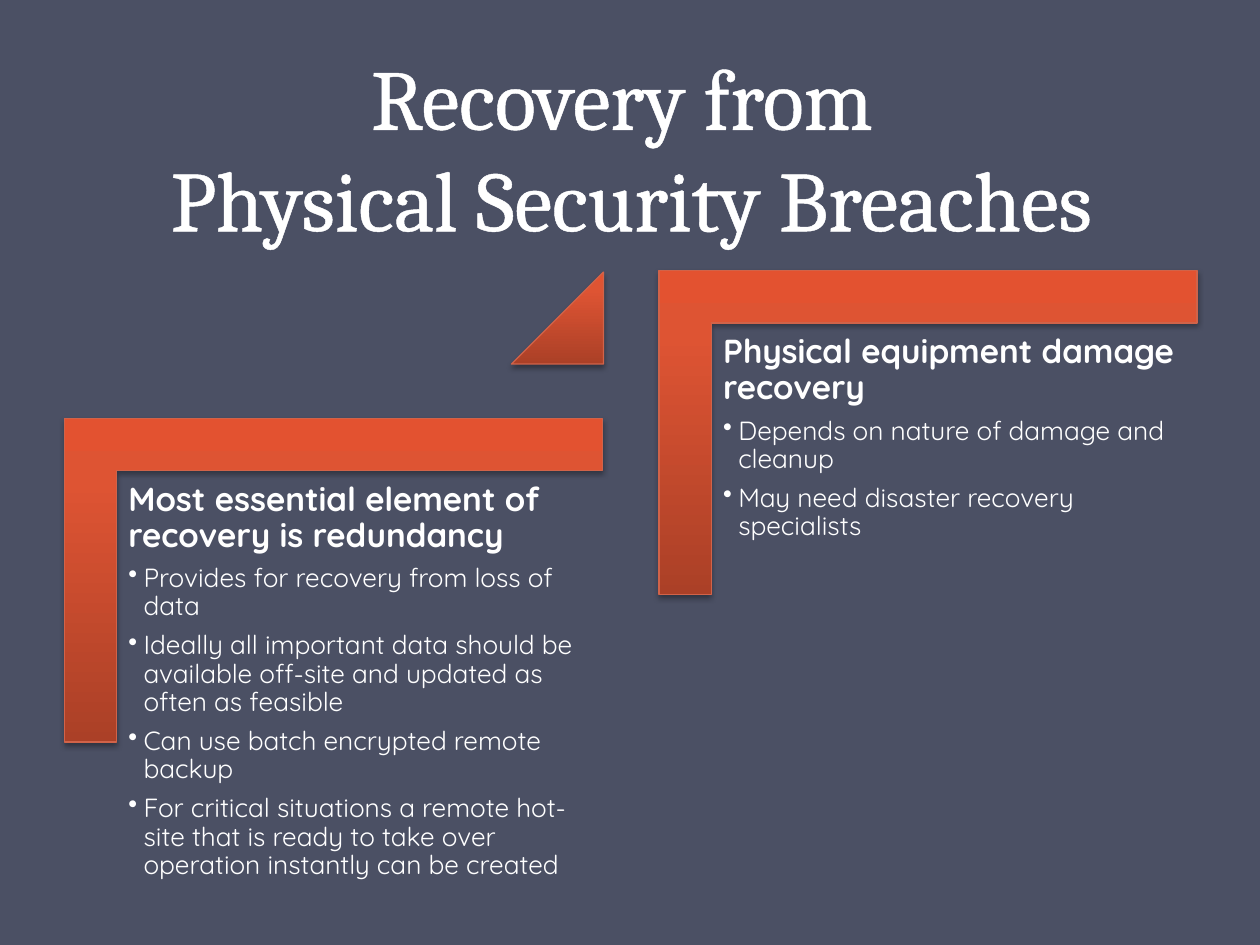
from lxml.etree import SubElement
from pptx import Presentation
from pptx.dml.color import RGBColor
from pptx.enum.shapes import MSO_SHAPE
from pptx.enum.text import MSO_ANCHOR, PP_ALIGN
from pptx.oxml.ns import qn
from pptx.util import Inches, Pt

SLATE = RGBColor(0x4B, 0x50, 0x64)
WHITE = RGBColor(0xFF, 0xFF, 0xFF)
RUST = RGBColor(0xD1, 0x63, 0x49)
BLACK = RGBColor(0, 0, 0)
STOPS = [
    (0, RGBColor(0xAB, 0x40, 0x27)),
    (80, RGBColor(0xDE, 0x54, 0x33)),
    (100, RGBColor(0xE3, 0x52, 0x30)),
]

# left and top of each corner's unrotated frame, left and top of its text
STEPS = [
    (1.36, 2.47, 0.94, 3.75, "Most essential element of recovery is redundancy", [
        "Provides for recovery from loss of data",
        "Ideally all important data should be available off-site and updated as often as feasible",
        "Can use batch encrypted remote backup",
        "For critical situations a remote hot-site that is ready to take over "
        "operation instantly can be created",
    ]),
    (6.08, 1.3, 5.66, 2.58, "Physical equipment damage recovery", [
        "Depends on nature of damage and cleanup",
        "May need disaster recovery specialists",
    ]),
]


def add_child(parent, tag, **attrs):
    return SubElement(parent, qn(tag), {key: str(val) for key, val in attrs.items()})


def add_glow(kind, left, top, width, height, adjust):
    """Add a shape with the upright orange gradient and a soft shadow."""
    shape = slide.shapes.add_shape(
        kind, Inches(left), Inches(top), Inches(width), Inches(height))
    for i, value in enumerate(adjust):
        shape.adjustments[i] = value
    shape.fill.gradient()
    shape.fill.gradient_angle = 90
    grad = shape._element.spPr.find(qn("a:gradFill"))
    grad.set("rotWithShape", "0")
    stops = grad.find(qn("a:gsLst"))
    for old in list(stops):
        stops.remove(old)
    for pos, color in STOPS:
        stop = add_child(stops, "a:gs", pos=pos * 1000)
        add_child(stop, "a:srgbClr", val=color)
    shape.line.color.rgb = RUST
    shape.line.width = Pt(0.75)
    shape.shadow.inherit = False
    effects = shape._element.spPr.find(qn("a:effectLst"))
    shadow = add_child(effects, "a:outerShdw", blurRad=Pt(3.1), dist=Pt(1.8),
                       dir=5400000, rotWithShape=0)
    tint = add_child(shadow, "a:srgbClr", val=BLACK)
    add_child(tint, "a:alpha", val=35000)
    return shape


deck = Presentation()
deck.slide_width, deck.slide_height = Inches(10), Inches(7.5)
slide = deck.slides.add_slide(deck.slide_layouts[6])
slide.background.fill.solid()
slide.background.fill.fore_color.rgb = SLATE

# Title
title = slide.shapes.add_textbox(Inches(0.51), Inches(0.44), Inches(9), Inches(1.58))
frame = title.text_frame
frame.word_wrap = True
frame.vertical_anchor = MSO_ANCHOR.BOTTOM
para = frame.paragraphs[0]
para.text = "Recovery from \nPhysical Security Breaches"
para.alignment = PP_ALIGN.CENTER
para.line_spacing = Pt(58)
for run in para.runs:
    run.font.name, run.font.size = "Cambria", Pt(48.6)
    edge = add_child(run.font._element, "a:ln", w=Pt(1.45))
    add_child(add_child(edge, "a:solidFill"), "a:srgbClr", val=WHITE)
    run.font._element.insert(0, edge)
    run.font.color.rgb = WHITE

# Steps
for left, top, text_left, text_top, heading, points in STEPS:
    corner = add_glow(MSO_SHAPE.CORNER, left, top, 2.57, 4.27, (0.161, 0.161))
    corner.rotation = 90
    box = slide.shapes.add_textbox(
        Inches(text_left), Inches(text_top), Inches(3.86), Inches(3.38))
    frame = box.text_frame
    frame.word_wrap = True
    for side in ("left", "top", "right", "bottom"):
        setattr(frame, f"margin_{side}", Inches(0.08))
    for i, text in enumerate([heading] + points):
        para = frame.add_paragraph() if i else frame.paragraphs[0]
        para.text = text
        para.line_spacing = 0.9
        para.space_after = Pt(6)
        if i:
            para.level = 1
            props = para._p.get_or_add_pPr()
            props.set("marL", str(Inches(0.12)))
            props.set("indent", str(-Inches(0.12)))
            add_child(props, "a:buChar", char="•")
        font = para.runs[0].font
        look = {"name": "Quicksand", "size": Pt(15 if i else 19), "bold": i == 0}
        for key, value in look.items():
            setattr(font, key, value)
        font.color.rgb = WHITE

# Rise between the steps
add_glow(MSO_SHAPE.ISOSCELES_TRIANGLE, 4.06, 2.16, 0.73, 0.73, (1,))

deck.save("out.pptx")
